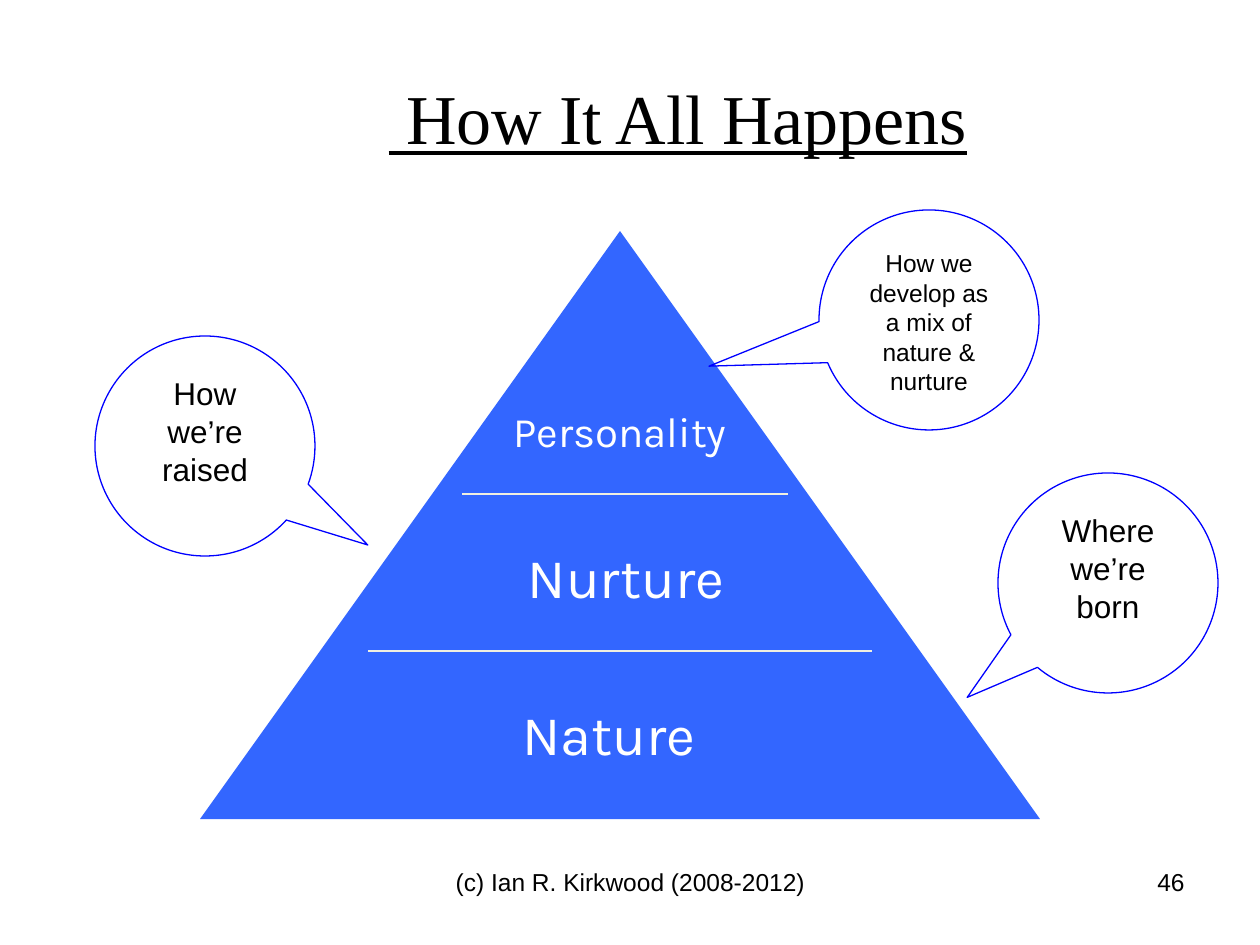
from typing import NamedTuple

from lxml import etree
from pptx import Presentation, util as u
from pptx.dml.color import RGBColor
from pptx.enum import shapes, text
from pptx.oxml.ns import qn

BLACK = RGBColor(0x00, 0x00, 0x00)
WHITE = RGBColor(0xFF, 0xFF, 0xFF)
BLUE = RGBColor(0x33, 0x66, 0xFF)
EDGE = RGBColor(0x00, 0x00, 0xFF)
CREAM = RGBColor(0xF0, 0xEF, 0xE0)
LEFT, MID, RIGHT = text.PP_ALIGN.LEFT, text.PP_ALIGN.CENTER, text.PP_ALIGN.RIGHT
TOP, CORE = text.MSO_ANCHOR.TOP, text.MSO_ANCHOR.MIDDLE
KIND = shapes.MSO_SHAPE
SIDE = 220


class Box(NamedTuple):
    x: int
    y: int
    w: int
    h: int


class Label(NamedTuple):
    words: str
    box: Box
    style: dict


class Bubble(NamedTuple):
    words: str
    x: int
    y: int
    tip: tuple[float, float]
    size: int


class Rule(NamedTuple):
    x: int
    y: int
    end: int


LABELS = [
    Label("(c) Ian R. Kirkwood (2008-2012)", Box(431, 861, 399, 66), dict(size=14)),
    Label("46", Box(903, 861, 294, 66), dict(size=14, align=RIGHT)),
    Label(" How It All Happens", Box(158, 38, 1040, 158),
          dict(size=40, font="Times New Roman", line=True, anchor=CORE)),
]
TIERS = [
    Label("Nature", Box(420, 693, 388, 79), dict(size=32, align=LEFT, indent=90)),
    Label(" Nurture", Box(462, 536, 315, 79), dict(size=32)),
    Label("Personality", Box(494, 399, 252, 63), dict(size=24)),
]
RULES = [Rule(368, 651, 872), Rule(462, 494, 788)]
BUBBLES = [
    Bubble("How we’re raised", 95, 336, (0.74, 0.45), 18),
    Bubble("Where we’re born", 998, 473, (-0.64, 0.52), 18),
    Bubble("How we develop as a mix of nature & nurture", 819, 210, (-1.0, 0.21), 14),
]


def px(n: int) -> int:
    """Turn px into EMU."""
    return round(n * 914400 / 126)


def write(frame, words: str, *, size: int, font: str = "Arial", color: RGBColor = BLACK,
          align=MID, anchor=TOP, line: bool = False, indent: int = 0) -> None:
    """Put one formatted paragraph in a text frame."""
    frame.word_wrap = True
    frame.vertical_anchor = anchor
    para = frame.paragraphs[0]
    para.alignment = align
    if indent:
        para._p.get_or_add_pPr().set("marL", str(px(indent)))
    run = para.add_run()
    run.text = words
    run.font.name = font
    run.font.size = u.Pt(size)
    run.font.color.rgb = color
    run.font.underline = line


def label(slide, item: Label, **style) -> None:
    """Add a text box."""
    box = slide.shapes.add_textbox(*map(px, item.box))
    write(box.text_frame, item.words, **item.style, **style)


def peak(slide, box: Box) -> None:
    """Add the pyramid."""
    shape = slide.shapes.add_shape(KIND.ISOSCELES_TRIANGLE, *map(px, box))
    shape.shadow.inherit = False
    shape.fill.solid()
    shape.fill.fore_color.rgb = BLUE
    shape.line.fill.background()


def rule(slide, item: Rule) -> None:
    """Add a level line between two tiers."""
    line = slide.shapes.add_connector(shapes.MSO_CONNECTOR.STRAIGHT,
                                      *map(px, (item.x, item.y, item.end, item.y)))
    line.line.color.rgb = CREAM
    line.line.width = u.Pt(0.75)
    etree.SubElement(line._element.spPr, qn("a:effectLst"))


def bubble(slide, item: Bubble) -> None:
    """Add a round callout with its tip."""
    box = Box(item.x, item.y, SIDE, SIDE)
    shape = slide.shapes.add_shape(KIND.OVAL_CALLOUT, *map(px, box))
    shape.adjustments[0], shape.adjustments[1] = item.tip
    shape.shadow.inherit = False
    shape.fill.background()
    shape.line.color.rgb = EDGE
    shape.line.width = u.Pt(0.75)
    write(shape.text_frame, item.words, size=item.size)


def main() -> None:
    """Build and save the slide."""
    deck = Presentation()
    deck.slide_width, deck.slide_height = px(1260), px(945)
    slide = deck.slides.add_slide(deck.slide_layouts[6])
    for item in LABELS:
        label(slide, item)
    peak(slide, Box(200, 231, 840, 588))
    for item in RULES:
        rule(slide, item)
    for item in TIERS:
        label(slide, item, font="Karla", color=WHITE)
    for item in BUBBLES:
        bubble(slide, item)
    deck.save("out.pptx")


if __name__ == "__main__":
    main()
